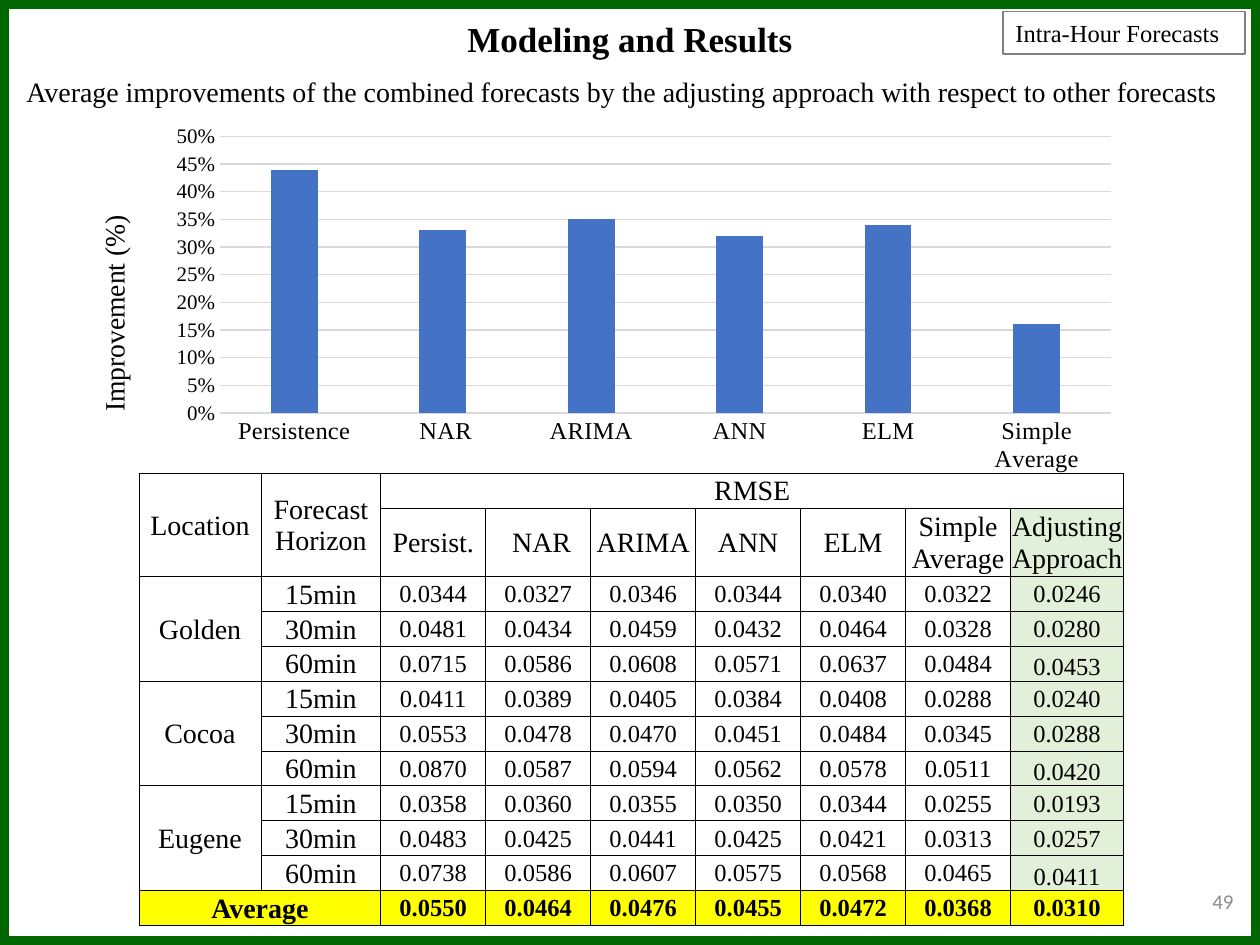
"""Build the slide on forecast improvements: a column chart above an RMSE table."""
from dataclasses import dataclass
from typing import Optional

from lxml.etree import SubElement
from pptx import Presentation
from pptx.chart.data import CategoryChartData
from pptx.dml.color import RGBColor
from pptx.enum.chart import XL_CHART_TYPE, XL_TICK_MARK
from pptx.enum.shapes import MSO_SHAPE
from pptx.enum.text import MSO_ANCHOR, MSO_AUTO_SIZE, PP_ALIGN
from pptx.oxml import parse_xml
from pptx.oxml.ns import nsdecls, qn
from pptx.util import Pt

BLACK = RGBColor(0x00, 0x00, 0x00)
GREEN = RGBColor(0x00, 0x66, 0x00)
GRAY = RGBColor(0x80, 0x80, 0x80)
NUMBER_GRAY = RGBColor(0x8C, 0x8C, 0x8C)
GRID_GRAY = RGBColor(0xD9, 0xD9, 0xD9)
BLUE = RGBColor(0x44, 0x72, 0xC4)
PALE_GREEN = RGBColor(0xE2, 0xF0, 0xD9)
YELLOW = RGBColor(0xFF, 0xFF, 0x00)
SERIF = "Times New Roman"

IMPROVEMENTS = {"Persistence": 0.44, " NAR": 0.33, "ARIMA": 0.35,
                "ANN": 0.32, "ELM": 0.34, "Simple Average": 0.16}
METHODS = ("Persist.", " NAR", "ARIMA", "ANN", "ELM", "Simple Average", "Adjusting Approach")
HORIZONS = ("15min", "30min", "60min")
LOCATION_ERRORS = {
    "Golden": ("0.0344 0.0327 0.0346 0.0344 0.0340 0.0322 0.0246",
               "0.0481 0.0434 0.0459 0.0432 0.0464 0.0328 0.0280",
               "0.0715 0.0586 0.0608 0.0571 0.0637 0.0484 0.0453"),
    "Cocoa": ("0.0411 0.0389 0.0405 0.0384 0.0408 0.0288 0.0240",
              "0.0553 0.0478 0.0470 0.0451 0.0484 0.0345 0.0288",
              "0.0870 0.0587 0.0594 0.0562 0.0578 0.0511 0.0420"),
    "Eugene": ("0.0358 0.0360 0.0355 0.0350 0.0344 0.0255 0.0193",
               "0.0483 0.0425 0.0441 0.0425 0.0421 0.0313 0.0257",
               "0.0738 0.0586 0.0607 0.0575 0.0568 0.0465 0.0411"),
}
AVERAGES = "0.0550 0.0464 0.0476 0.0455 0.0472 0.0368 0.0310"
COLUMN_WIDTHS = [69.8, 68.4] + [60] * 6 + [64.6]
ROW_HEIGHTS = [20, 38.8] + [19.8] * 10


@dataclass
class TextStyle:
    """Look of one run of text."""
    size: float
    bold: bool = False
    font: str = SERIF
    color: RGBColor = BLACK
    align: PP_ALIGN = PP_ALIGN.LEFT


@dataclass
class TableEntry:
    """Text of one table cell with its span and look."""
    row: int
    column: int
    text: str
    size: float = 16
    bold: bool = False
    fill: Optional[RGBColor] = None
    rows: int = 1
    columns: int = 1
    anchor: MSO_ANCHOR = MSO_ANCHOR.MIDDLE


def style_font(font, style: TextStyle) -> None:
    """Apply a text style to a font."""
    font.size, font.bold, font.name = Pt(style.size), style.bold, style.font
    font.color.rgb = style.color


def write(frame, text: str, style: TextStyle) -> None:
    """Write one styled run into a text frame."""
    para = frame.paragraphs[0]
    para.alignment = style.align
    span = para.add_run()
    span.text = text
    style_font(span.font, style)


def write_box(box, text: str, style: TextStyle, wrap: bool = True,
              anchor: MSO_ANCHOR = MSO_ANCHOR.TOP) -> None:
    """Set up the frame of a box and write its text."""
    frame = box.text_frame
    frame.word_wrap, frame.vertical_anchor = wrap, anchor
    frame.auto_size = MSO_AUTO_SIZE.SHAPE_TO_FIT_TEXT
    write(frame, text, style)


def add_outline(page, left: float, top: float, width: float, height: float,
                color: RGBColor, weight: float):
    """Add an unfilled rectangle."""
    box = page.shapes.add_shape(MSO_SHAPE.RECTANGLE, Pt(left), Pt(top), Pt(width), Pt(height))
    box.shadow.inherit = False
    box.fill.background()
    box.line.color.rgb, box.line.width = color, Pt(weight)
    return box


def add_text(page, left: float, top: float, width: float, height: float,
             text: str, style: TextStyle, anchor: MSO_ANCHOR = MSO_ANCHOR.TOP) -> None:
    """Add a wrapped text box."""
    box = page.shapes.add_textbox(Pt(left), Pt(top), Pt(width), Pt(height))
    write_box(box, text, style, anchor=anchor)


def set_layout(parent, index: int, **places) -> None:
    """Give a chart part a manual layout at the given child index."""
    for old in parent.findall(qn("c:layout")):
        parent.remove(old)
    layout = parse_xml(f"<c:layout {nsdecls('c')}><c:manualLayout/></c:layout>")
    for name, value in places.items():
        SubElement(layout[0], qn(f"c:{name}")).set("val", str(value))
    parent.insert(index, layout)


def add_improvement_chart(page) -> None:
    """Add the column chart of average improvements."""
    data = CategoryChartData(number_format="0%")
    data.categories = list(IMPROVEMENTS)
    data.add_series("Series 1", list(IMPROVEMENTS.values()))
    chart = page.shapes.add_chart(XL_CHART_TYPE.COLUMN_CLUSTERED, Pt(46), Pt(64.8),
                                  Pt(613.4), Pt(205.2), data).chart
    style_font(chart.font, TextStyle(11))
    chart.has_legend = chart.has_title = False
    plot = chart.plots[0]
    plot.gap_width, plot.overlap, plot.vary_by_categories = 219, -27, False
    fill = plot.series[0].format.fill
    fill.solid()
    fill.fore_color.rgb = BLUE

    for axis, size in ((chart.category_axis, 14), (chart.value_axis, 12)):
        axis.major_tick_mark = axis.minor_tick_mark = XL_TICK_MARK.NONE
        style_font(axis.tick_labels.font, TextStyle(size))
    values = chart.value_axis
    values.minimum_scale, values.maximum_scale, values.major_unit = 0, 0.5, 0.05
    values.tick_labels.number_format = "0%"
    values.tick_labels.number_format_is_linked = False
    values.format.line.fill.background()
    for line in (chart.category_axis.format.line, values.major_gridlines.format.line):
        line.color.rgb, line.width = GRID_GRAY, Pt(0.75)

    title = values.axis_title
    write(title.text_frame, "Improvement (%)", TextStyle(16))
    set_layout(title._element, 1, xMode="edge", yMode="edge", x=0.01, y=0.28)
    plot_area = chart._chartSpace.find(qn("c:chart")).find(qn("c:plotArea"))
    set_layout(plot_area, 0, layoutTarget="inner", xMode="edge", yMode="edge",
               x=0.13, y=0.065, w=0.83, h=0.78)


def table_entries() -> list[TableEntry]:
    """List every filled cell of the RMSE table."""
    entries = [TableEntry(0, 0, "Location", rows=2), TableEntry(0, 1, "Forecast Horizon", rows=2),
               TableEntry(0, 2, "RMSE", columns=7),
               TableEntry(11, 0, "Average", bold=True, fill=YELLOW, columns=2)]
    last = len(COLUMN_WIDTHS) - 1
    for column, method in enumerate(METHODS, 2):
        entries.append(TableEntry(1, column, method, fill=PALE_GREEN if column == last else None))
    for group, (location, lines) in enumerate(LOCATION_ERRORS.items()):
        first = 2 + group * len(HORIZONS)
        entries.append(TableEntry(first, 0, location, rows=len(HORIZONS)))
        for row, (horizon, line) in enumerate(zip(HORIZONS, lines), first):
            entries.append(TableEntry(row, 1, horizon))
            for column, error in enumerate(line.split(), 2):
                low = column == last and horizon == HORIZONS[-1]
                entries.append(TableEntry(row, column, error, 14,
                                          fill=PALE_GREEN if column == last else None,
                                          anchor=MSO_ANCHOR.BOTTOM if low else MSO_ANCHOR.MIDDLE))
    for column, error in enumerate(AVERAGES.split(), 2):
        entries.append(TableEntry(11, column, error, 14, True, YELLOW))
    return entries


def format_cell(cell, fill: Optional[RGBColor]) -> None:
    """Set the fill, margins and thin black borders of a cell."""
    cell.margin_left = cell.margin_right = cell.margin_top = Pt(0.72)
    cell.margin_bottom = Pt(0)
    if fill is None:
        cell.fill.background()
    else:
        cell.fill.solid()
        cell.fill.fore_color.rgb = fill
    for index, side in enumerate("LRTB"):
        cell._tc.get_or_add_tcPr().insert(index, parse_xml(
            f'<a:ln{side} {nsdecls("a")} w="{Pt(0.5)}"><a:solidFill>'
            f'<a:srgbClr val="{BLACK}"/></a:solidFill></a:ln{side}>'))


def add_error_table(page) -> None:
    """Add the RMSE table."""
    table = page.shapes.add_table(len(ROW_HEIGHTS), len(COLUMN_WIDTHS), Pt(79.4), Pt(270.4),
                                  Pt(sum(COLUMN_WIDTHS)), Pt(sum(ROW_HEIGHTS))).table
    table.first_row = table.horz_banding = False
    for column, width in zip(table.columns, COLUMN_WIDTHS):
        column.width = Pt(width)
    for row, height in zip(table.rows, ROW_HEIGHTS):
        row.height = Pt(height)
    for entry in table_entries():
        for row in range(entry.row, entry.row + entry.rows):
            for column in range(entry.column, entry.column + entry.columns):
                format_cell(table.cell(row, column), entry.fill)
        cell = table.cell(entry.row, entry.column)
        if entry.rows * entry.columns > 1:
            cell.merge(table.cell(entry.row + entry.rows - 1, entry.column + entry.columns - 1))
        cell.vertical_anchor = entry.anchor
        write(cell.text_frame, entry.text,
              TextStyle(entry.size, entry.bold, align=PP_ALIGN.CENTER))


def main() -> None:
    """Build and save the deck."""
    deck = Presentation()
    deck.slide_width, deck.slide_height = Pt(720), Pt(540)
    page = deck.slides.add_slide(deck.slide_layouts[5])
    add_outline(page, 0, 0, 720, 540, GREEN, 10)
    add_text(page, 550, 500.4, 162, 28.8, "49",
             TextStyle(12, font="Calibri", color=NUMBER_GRAY, align=PP_ALIGN.RIGHT),
             MSO_ANCHOR.MIDDLE)
    label = add_outline(page, 573.2, 6.5, 138.2, 24.4, GRAY, 0.75)
    write_box(label, "Intra-Hour Forecasts", TextStyle(14))
    add_improvement_chart(page)
    add_text(page, 8, 38.9, 712, 26.6, "Average improvements of the combined forecasts by the "
             "adjusting approach with respect to other forecasts", TextStyle(16))
    title = page.shapes.title
    title.left, title.top, title.width, title.height = Pt(259.2), Pt(6.5), Pt(201.6), Pt(31.6)
    write_box(title, "Modeling and Results", TextStyle(20, True, align=PP_ALIGN.CENTER), wrap=False)
    add_error_table(page)
    deck.save("out.pptx")


if __name__ == "__main__":
    main()
